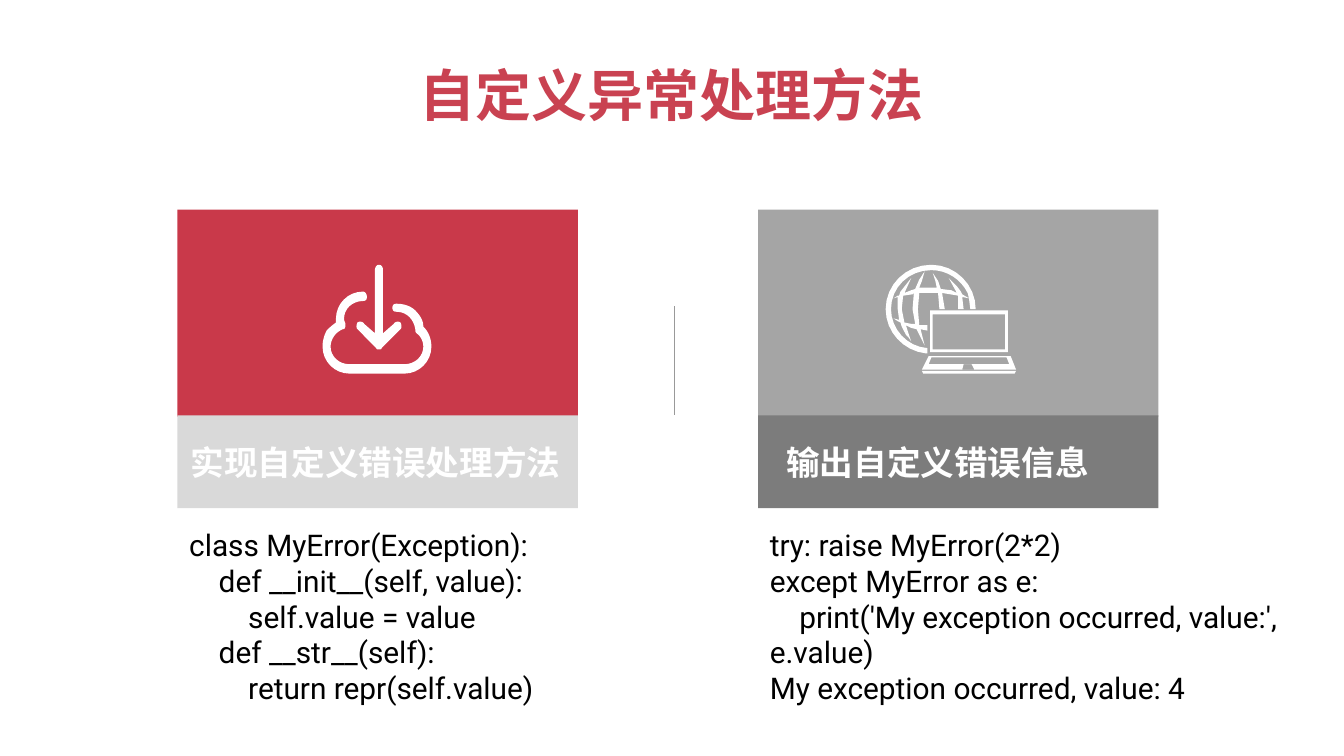
from dataclasses import dataclass

from lxml import etree
from pptx import Presentation
from pptx.dml.color import RGBColor
from pptx.enum.shapes import MSO_CONNECTOR, MSO_SHAPE
from pptx.enum.text import MSO_ANCHOR, PP_ALIGN
from pptx.oxml.ns import qn
from pptx.util import Inches, Pt

RECTANGLE = MSO_SHAPE.RECTANGLE
STRAIGHT = MSO_CONNECTOR.STRAIGHT
TOP, MIDDLE = MSO_ANCHOR.TOP, MSO_ANCHOR.MIDDLE
LEFT, CENTER = PP_ALIGN.LEFT, PP_ALIGN.CENTER


@dataclass(frozen=True)
class Theme:
    title: str = "C94251"
    red: str = "C9394A"
    pale: str = "D9D9D9"
    gray: str = "A5A5A5"
    dark: str = "7C7C7C"
    rule: str = "999999"
    white: str = "FFFFFF"
    black: str = "000000"
    heading_font: str = "Noto Sans CJK SC"
    code_font: str = "Roboto"
    title_size: int = 30
    label_size: int = 18
    code_size: int = 16


THEME = Theme()

# Icon contours in hundredths of an inch: M starts, L draws lines, C draws Béziers.
CLOUD_DOWNLOAD = """
M 30,20 C 32,20 33,22 33,24 33,26 32,27 30,27 22,27 16,33 16,40 16,42 17,43 17,44
17,46 17,48 15,48 10,50 6,55 6,61 6,68 12,74 20,74 L 61,74
C 69,74 75,68 75,61 75,57 73,53 70,51 69,50 69,49 69,48 68,41 63,35 55,35
53,35 52,34 52,32 52,30 53,29 55,29 61,29 66,31 69,34 73,38 75,42 75,46
79,50 81,55 81,61 81,72 72,81 61,81 L 20,81
C 9,81 0,72 0,61 0,57 1,53 3,49 5,47 7,45 10,43 10,42 10,41 10,40 10,29 19,20 30,20
M 42,0 C 44,0 45,2 45,4 L 45,51 53,44 C 54,42 57,42 58,43 59,45 59,47 58,48
L 44,62 C 44,63 43,63 42,63 41,63 40,63 40,62 L 26,48
C 25,47 25,45 26,43 27,42 30,42 31,44 L 39,51 39,4 C 39,2 40,0 42,0
"""
GLOBE_LAPTOP = """
M 27,79 L 97,79 96,81 28,81
M 58,74 L 57,78 66,78 64,74
M 34,69 L 32,74 92,74 90,69
M 32,68 L 93,68 97,78 27,78
M 35,37 L 35,63 89,63 89,37
M 33,34 L 91,34 91,65 33,65
M 21,21 L 20,22 13,23 12,33 14,43 19,44 22,44 20,33
M 29,5 L 27,12 25,17 34,17 38,17 37,12 35,6 37,9 39,12 41,18 49,19 53,21 47,10
53,16 56,20 57,22 62,25 57,24 58,33 54,33 54,23 48,22 42,21 44,33 40,33 39,21 34,21
25,21 24,33 25,45 31,45 31,49 26,48 29,60 23,48 19,47 15,45 19,57 17,54 15,52
12,46 11,43 9,42 6,40 10,41 9,33 9,24 6,25 9,23 10,23 11,20 19,10 14,21
19,19 22,18 25,11 27,8
M 34,0 C 52,0 67,15 67,33 L 63,33 62,25 61,21 C 56,11 46,4 34,4 17,4 4,17 4,33
4,48 16,61 31,62 L 31,66 30,66 C 13,64 0,50 0,33 0,15 15,0 34,0
"""


def set_text(shape, lines, font, size, color, bold=False, align=LEFT,
             anchor=MIDDLE, inset_x=0.1):
    frame = shape.text_frame
    frame.word_wrap = True
    frame.vertical_anchor = anchor
    frame.margin_left, frame.margin_right = Inches(inset_x), Inches(0.1)
    frame.margin_top = frame.margin_bottom = Inches(0.05)
    frame.text = "\n".join(lines)
    for paragraph in frame.paragraphs:
        paragraph.alignment = align
        paragraph.font.name = font
        paragraph.font.size = Pt(size)
        paragraph.font.bold = bold
        paragraph.font.color.rgb = RGBColor.from_string(color)
        defaults = paragraph._p.pPr.find(qn("a:defRPr"))
        etree.SubElement(defaults, qn("a:ea"), typeface=font)


def paint(shape, color):
    shape.shadow.inherit = False
    shape.fill.solid()
    shape.fill.fore_color.rgb = RGBColor.from_string(color)
    shape.line.fill.background()


def add_band(slide, x, y, w, h, color):
    band = slide.shapes.add_shape(RECTANGLE, Inches(x), Inches(y), Inches(w), Inches(h))
    paint(band, color)
    return band


def bezier(start, control_1, control_2, end, steps=8):
    """Return points along a cubic curve, without its start."""
    points = []
    for step in range(1, steps + 1):
        t = step / steps
        weights = ((1 - t) ** 3, 3 * t * (1 - t) ** 2, 3 * t * t * (1 - t), t ** 3)
        curve = (start, control_1, control_2, end)
        points.append(tuple(sum(k * p[axis] for k, p in zip(weights, curve))
                            for axis in (0, 1)))
    return points


def read_contours(outline):
    contours, controls, command = [], [], ""
    for token in outline.split():
        if token in "MLC":
            command = token
            continue
        point = tuple(float(value) for value in token.split(","))
        if command == "M":
            contours.append([point])
        elif command == "L":
            contours[-1].append(point)
        else:
            controls.append(point)
            if len(controls) == 3:
                contours[-1].extend(bezier(contours[-1][-1], *controls))
                controls = []
    return contours


def add_icon(slide, x, y, outline):
    contours = [[(Inches(px / 100), Inches(py / 100)) for px, py in contour]
                for contour in read_contours(outline)]
    builder = slide.shapes.build_freeform(*contours[0][0])
    for index, contour in enumerate(contours):
        if index:
            builder.move_to(*contour[0])
        builder.add_line_segments(contour[1:], close=True)
    paint(builder.convert_to_shape(Inches(x), Inches(y)), THEME.white)


def add_title(slide, x, y, w, h, title):
    box = slide.shapes.add_textbox(Inches(x), Inches(y), Inches(w), Inches(h))
    set_text(box, [title], THEME.heading_font, THEME.title_size, THEME.title,
             bold=True, align=CENTER)


def add_card(slide, x, y, w, colors, icon, icon_x, label, label_inset, code, code_w):
    """Place an icon panel, its label band and the code below."""
    panel_color, label_color = colors
    add_band(slide, x, y, w, 1.54, panel_color)
    label_band = add_band(slide, x, y + 1.53, w, 0.69, label_color)
    set_text(label_band, [label], THEME.heading_font, THEME.label_size, THEME.white,
             bold=True, inset_x=label_inset)
    add_icon(slide, x + icon_x, y + 0.41, icon)
    listing = slide.shapes.add_textbox(Inches(x - 0.01), Inches(y + 2.31),
                                       Inches(code_w), Inches(1.43))
    set_text(listing, code, THEME.code_font, THEME.code_size, THEME.black, anchor=TOP)


def add_divider(slide, x, y, h):
    divider = slide.shapes.add_connector(STRAIGHT, Inches(x), Inches(y),
                                         Inches(x), Inches(y + h))
    divider.line.color.rgb = RGBColor.from_string(THEME.rule)
    divider.line.width = Pt(0.5)
    etree.SubElement(divider._element.spPr, qn("a:effectLst"))


def main():
    deck = Presentation()
    deck.slide_width = Inches(10)
    deck.slide_height = deck.slide_width * 9 // 16
    slide = deck.slides.add_slide(deck.slide_layouts[6])
    add_title(slide, 0.5, 0.23, 9, 0.94, "自定义异常处理方法")
    add_card(slide, 1.32, 1.56, 2.98, (THEME.red, THEME.pale), CLOUD_DOWNLOAD, 1.08,
             "实现自定义错误处理方法", 0.1,
             ["class MyError(Exception):",
              "    def __init__(self, value):",
              "        self.value = value",
              "    def __str__(self):",
              "        return repr(self.value)"], 3)
    add_card(slide, 5.64, 1.56, 2.98, (THEME.gray, THEME.dark), GLOBE_LAPTOP, 0.95,
             "输出自定义错误信息", 0.21,
             ["try: raise MyError(2*2)",
              "except MyError as e:",
              "    print('My exception occurred, value:', e.value)",
              "My exception occurred, value: 4"], 4.11)
    add_divider(slide, 5.02, 2.28, 0.81)
    deck.save("out.pptx")


if __name__ == "__main__":
    main()
